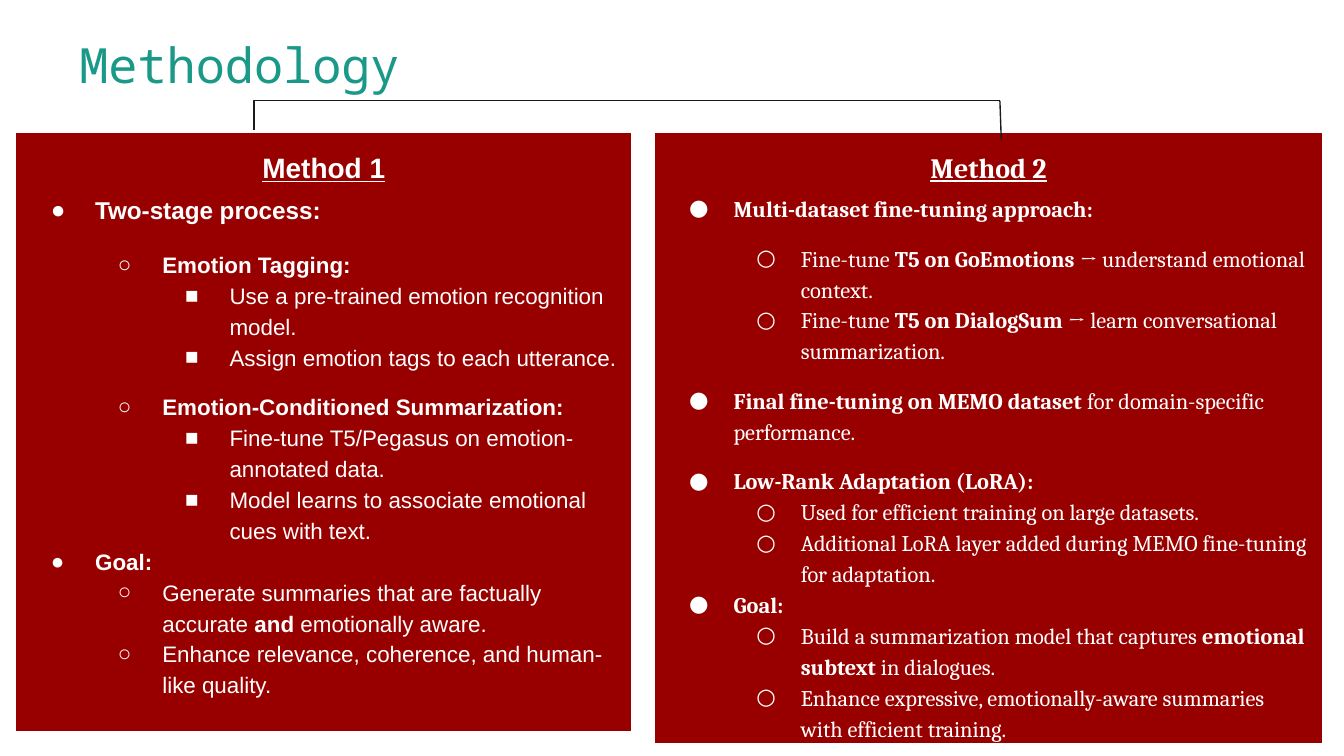
import pptx
import pptx.util
import pptx.dml.color
import pptx.enum.shapes
import pptx.enum.text
import lxml.etree
from pptx.util import Inches

MAIN = "http://schemas.openxmlformats.org/drawingml/2006/main"
BULLETS = "●○■"


def color(value):
    return pptx.dml.color.RGBColor.from_string(value)


def write(paragraph, text, font, size, fill="FFFFFF", bold=False, underline=False,
          align=pptx.enum.text.PP_ALIGN.LEFT, spacing=1.15, before=0, level=None):
    paragraph.alignment = align
    paragraph.line_spacing = spacing
    paragraph.space_before = pptx.util.Pt(before)
    paragraph.space_after = pptx.util.Pt(0)
    if level is not None:
        paragraph.level = level
        properties = paragraph._p.get_or_add_pPr()
        properties.set("marL", str(Inches(0.5 * (level + 1))))
        properties.set("indent", str(Inches(-0.33)))
        bullet_color = lxml.etree.SubElement(properties, f"{{{MAIN}}}buClr")
        lxml.etree.SubElement(bullet_color, f"{{{MAIN}}}srgbClr", val=fill)
        lxml.etree.SubElement(properties, f"{{{MAIN}}}buFont", typeface=font)
        lxml.etree.SubElement(properties, f"{{{MAIN}}}buChar", char=BULLETS[level])
    for index, part in enumerate(text.split("**")):
        if part:
            run = paragraph.add_run()
            run.text = part
            run.font.name = font
            run.font.size = pptx.util.Pt(size)
            run.font.bold = bold or index % 2 == 1
            run.font.underline = underline
            run.font.color.rgb = color(fill)


presentation = pptx.Presentation()
presentation.slide_width = Inches(10)
presentation.slide_height = Inches(10 * 9 / 16)
slide = presentation.slides.add_slide(presentation.slide_layouts[5])

title = slide.shapes.title
title.left, title.top, title.width, title.height = (
    Inches(0.49), Inches(0.16), Inches(4.44), Inches(0.52))
title.text_frame.vertical_anchor = pptx.enum.text.MSO_ANCHOR.TOP
title.text_frame.auto_size = pptx.enum.text.MSO_AUTO_SIZE.NONE
title.text_frame.margin_top = title.text_frame.margin_bottom = Inches(0.1)
write(title.text_frame.paragraphs[0], "Methodology", "Noto Sans Mono", 26,
      fill="1B9988", spacing=1)

method_1 = [
    (0, 13, 4, "**Two-stage process:**"),
    (1, 12, 12, "**Emotion Tagging:**"),
    (2, 12, 0, "Use a pre-trained emotion recognition model."),
    (2, 12, 0, "Assign emotion tags to each utterance."),
    (1, 12, 10, "**Emotion-Conditioned Summarization:**"),
    (2, 12, 0, "Fine-tune T5/Pegasus on emotion-annotated data."),
    (2, 12, 0, "Model learns to associate emotional cues with text."),
    (0, 12, 0, "**Goal:**"),
    (1, 12, 0, "Generate summaries that are factually accurate **and** emotionally aware."),
    (1, 12, 0, "Enhance relevance, coherence, and human-like quality."),
]
method_2 = [
    (0, 12, 4, "**Multi-dataset fine-tuning approach:**"),
    (1, 12, 10, "Fine-tune **T5 on GoEmotions** → understand emotional context."),
    (1, 12, 0, "Fine-tune **T5 on DialogSum** → learn conversational summarization."),
    (0, 12, 10, "**Final fine-tuning on MEMO dataset** for domain-specific performance."),
    (0, 12, 10, "**Low-Rank Adaptation (LoRA):**"),
    (1, 12, 0, "Used for efficient training on large datasets."),
    (1, 12, 0, "Additional LoRA layer added during MEMO fine-tuning for adaptation."),
    (0, 12, 0, "**Goal:**"),
    (1, 12, 0, "Build a summarization model that captures **emotional subtext** in dialogues."),
    (1, 12, 0, "Enhance expressive, emotionally-aware summaries with efficient training."),
]
panels = [
    ("Method 1", "Arial", 0.11, 4.6, 4.47, method_1),
    ("Method 2", "Cambria", 4.86, 4.99, 4.56, method_2),
]
connector_types = pptx.enum.shapes.MSO_CONNECTOR
connectors = [
    slide.shapes.add_connector(connector_types.ELBOW, Inches(1.89), Inches(1.05),
                               Inches(7.44), Inches(0.75))
]
adjustments = connectors[0]._element.spPr.find(f".//{{{MAIN}}}avLst")
lxml.etree.SubElement(adjustments, f"{{{MAIN}}}gd", name="adj1", fmla="val 0")

for heading, font, left, width, height, points in panels:
    panel = slide.shapes.add_shape(
        pptx.enum.shapes.MSO_SHAPE.RECTANGLE,
        Inches(left), Inches(0.98), Inches(width), Inches(height))
    panel.shadow.inherit = False
    panel.fill.solid()
    panel.fill.fore_color.rgb = color("980000")
    panel.line.color.rgb = color("FFFFFF")
    panel.line.width = pptx.util.Pt(1.5)
    frame = panel.text_frame
    frame.word_wrap = True
    frame.vertical_anchor = pptx.enum.text.MSO_ANCHOR.TOP
    frame.margin_left = frame.margin_right = Inches(0.1)
    frame.margin_top = frame.margin_bottom = Inches(0.1)
    write(frame.paragraphs[0], heading, font, 15, bold=True, underline=True,
          align=pptx.enum.text.PP_ALIGN.CENTER)
    for level, size, before, text in points:
        write(frame.add_paragraph(), text, font, size, before=before, level=level)

connectors.append(slide.shapes.add_connector(
    connector_types.STRAIGHT, Inches(7.45), Inches(1.04), Inches(7.44), Inches(0.75)))
for connector in connectors:
    connector.line.color.rgb = color("1A1A1A")
    connector.line.width = pptx.util.Pt(0.75)
    lxml.etree.SubElement(connector._element.spPr, f"{{{MAIN}}}effectLst")

presentation.save("out.pptx")
